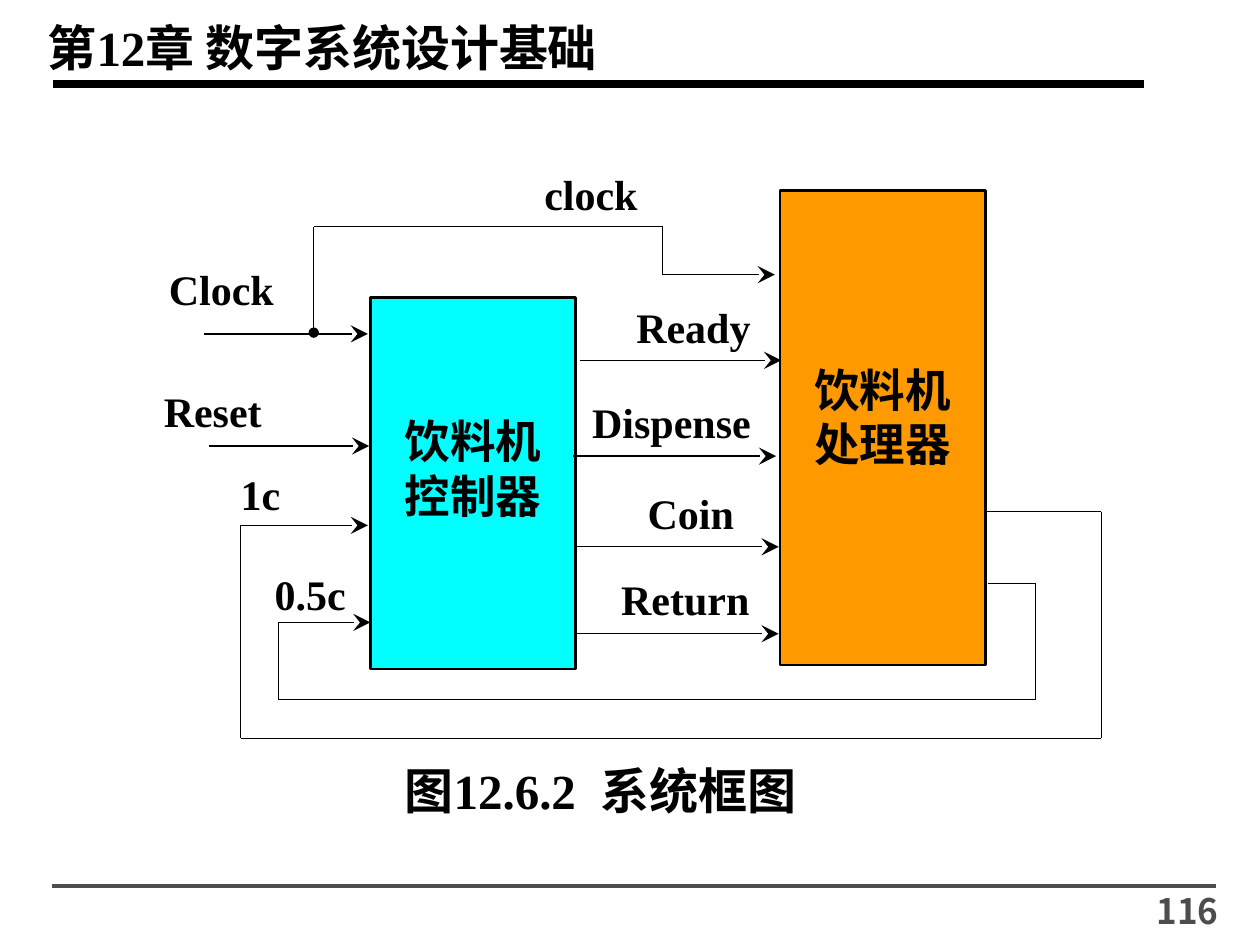
from dataclasses import dataclass
from itertools import pairwise

from lxml.etree import SubElement
from pptx import Presentation
from pptx.dml.color import RGBColor
from pptx.enum.lang import MSO_LANGUAGE_ID
from pptx.enum.shapes import MSO_CONNECTOR, MSO_SHAPE
from pptx.enum.text import MSO_ANCHOR, PP_ALIGN
from pptx.oxml.ns import qn
from pptx.util import Inches, Pt


@dataclass(frozen=True)
class Theme:
    ink: str = "000000"
    footer: str = "4D4D4D"
    controller: str = "00FFFF"
    processor: str = "FF9900"
    font: str = "Times New Roman"
    number_font: str = "Noto Sans CJK SC"
    heading: float = 28
    block: float = 26
    label: float = 24
    number: float = 20
    wire: float = 0.75
    border: float = 1.5
    footer_rule: float = 2
    title_rule: float = 4.5


THEME = Theme()
COLUMNS, ROWS = 100, 75
CELL = Inches(10) / COLUMNS
PADDING = (1, 0.5)


def grid(*cells):
    return [round(cell * CELL) for cell in cells]


def write(shape, text, *, size=THEME.label, font=THEME.font, color=THEME.ink,
          align=PP_ALIGN.LEFT, padding=(0, 0), top=None, wrap=True):
    frame = shape.text_frame
    frame.word_wrap = wrap
    frame.vertical_anchor = MSO_ANCHOR.TOP
    side, edge = grid(*padding)
    frame.margin_left = frame.margin_right = side
    frame.margin_top = edge if top is None else grid(top)[0]
    frame.margin_bottom = edge
    for index, line in enumerate(text.split("\n")):
        paragraph = frame.add_paragraph() if index else frame.paragraphs[0]
        paragraph.alignment = align
        run = paragraph.add_run()
        run.text = line
        run.font.name = font
        run.font.size = Pt(size)
        run.font.bold = True
        run.font.color.rgb = RGBColor.from_string(color)
        run.font.language_id = MSO_LANGUAGE_ID.SIMPLIFIED_CHINESE


def add_text(slide, text, box, **style):
    write(slide.shapes.add_textbox(*grid(*box)), text, **style)


def add_block(slide, text, box, fill, top):
    shape = slide.shapes.add_shape(MSO_SHAPE.RECTANGLE, *grid(*box))
    shape.shadow.inherit = False
    shape.fill.solid()
    shape.fill.fore_color.rgb = RGBColor.from_string(fill)
    shape.line.color.rgb = RGBColor.from_string(THEME.ink)
    shape.line.width = Pt(THEME.border)
    write(shape, text, size=THEME.block, align=PP_ALIGN.CENTER,
          padding=PADDING, top=top)


def add_line(slide, start, end, *, color=THEME.ink, width=THEME.wire,
             dot=False, arrow=False):
    line = slide.shapes.add_connector(
        MSO_CONNECTOR.STRAIGHT, *grid(*start, *end))
    line.line.color.rgb = RGBColor.from_string(color)
    line.line.width = Pt(width)
    outline = line.line._get_or_add_ln()
    if dot:
        SubElement(outline, qn("a:headEnd"), type="oval")
    if arrow:
        SubElement(outline, qn("a:tailEnd"), type="stealth", w="lg", len="lg")
    SubElement(line._element.spPr, qn("a:effectLst"))


def add_wire(slide, *points, dot=False):
    segments = list(pairwise(points))
    for index, (start, end) in enumerate(segments):
        add_line(slide, start, end, dot=dot and index == 0,
                 arrow=index == len(segments) - 1)


def add_frame(slide):
    add_text(slide, "第12章 数字系统设计基础", (2.8, 0.9, 62.4, 5.7),
             size=THEME.heading, padding=PADDING)
    add_line(slide, (4.2, 6.7), (90.8, 6.7), width=THEME.title_rule)
    add_line(slide, (4.1, 70.3), (96.5, 70.3),
             color=THEME.footer, width=THEME.footer_rule)
    add_text(slide, "116", (83.8, 70.1, 13.9, 3.9), size=THEME.number,
             font=THEME.number_font, color=THEME.footer,
             align=PP_ALIGN.RIGHT, padding=PADDING)


def add_labels(slide):
    labels = [
        ("Clock", 13.4, 20.9), ("Reset", 13, 30.6),
        ("1c", 19.1, 37.2), ("0.5c", 21.8, 45.1),
        ("clock", 43.2, 13.4), ("Ready", 50.5, 23.9),
        ("Dispense", 47, 31.5), ("Coin", 51.4, 38.7),
        ("Return", 49.3, 45.5),
    ]
    for text, left, top in labels:
        add_text(slide, text, (left, top, 16, 4))


def add_wires(slide):
    inputs = [(16.2, 29.2, 26.5), (16.6, 29.3, 35.4)]
    signals = [(46, 62, 28.6), (45.5, 61.6, 36.2),
               (45.7, 61.8, 43.4), (45.7, 61.8, 50.3)]
    for left, right, row in inputs + signals:
        add_wire(slide, (left, row), (right, row))
    add_wire(slide, (24.9, 26.4), (24.9, 18), (52.6, 18),
             (52.6, 21.8), (61.5, 21.8), dot=True)
    add_wire(slide, (78.2, 40.6), (87.4, 40.6), (87.4, 58.6),
             (19.1, 58.6), (19.1, 41.7), (29.2, 41.7))
    add_wire(slide, (78.4, 46.3), (82.2, 46.3), (82.2, 55.5),
             (22.1, 55.5), (22.1, 49.4), (29.4, 49.4))


def main():
    presentation = Presentation()
    presentation.slide_width, presentation.slide_height = grid(COLUMNS, ROWS)
    slide = presentation.slides.add_slide(presentation.slide_layouts[6])
    add_frame(slide)
    add_block(slide, "饮料机\n控制器", (29.4, 23.6, 16.3, 29.5),
              THEME.controller, top=9.2)
    add_block(slide, "饮料机\n处理器", (61.9, 15.1, 16.3, 37.7),
              THEME.processor, top=13.6)
    add_labels(slide)
    add_wires(slide)
    add_text(slide, "图12.6.2  系统框图", (30.2, 59.9, 34.9, 5.7),
             size=THEME.heading, align=PP_ALIGN.CENTER,
             padding=PADDING, wrap=False)
    presentation.save("out.pptx")


if __name__ == "__main__":
    main()
